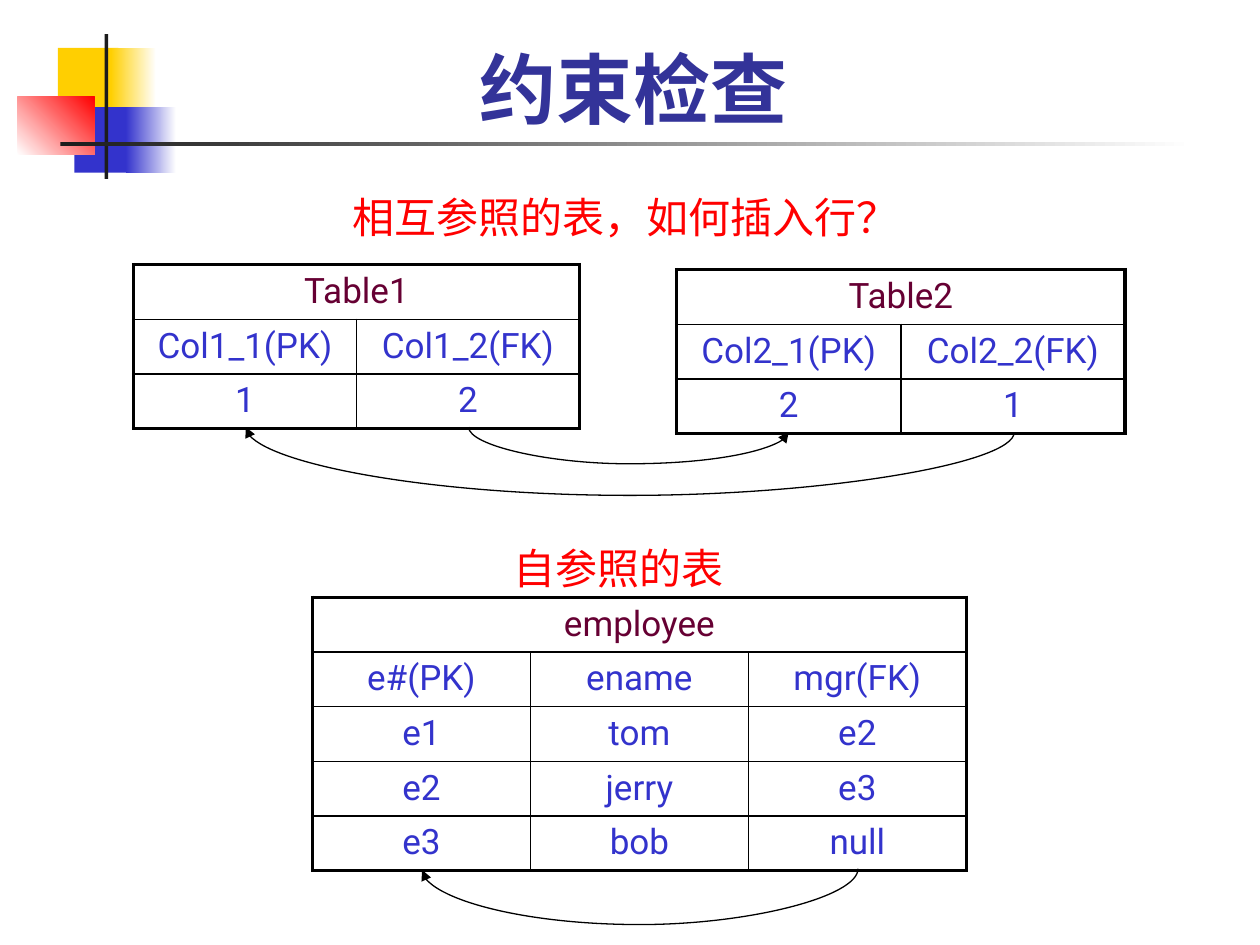
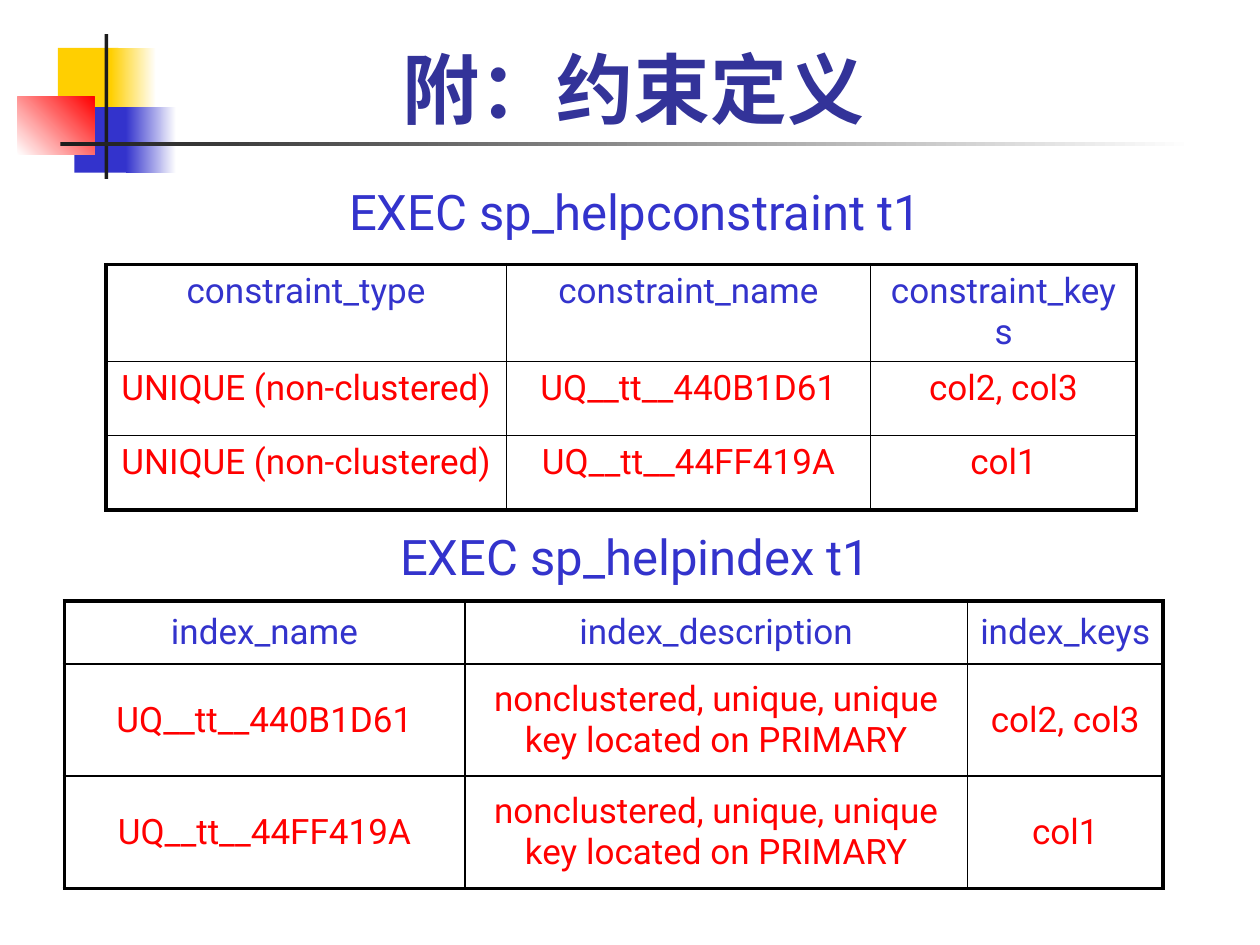
from lxml import etree
from pptx import Presentation
from pptx.dml.color import RGBColor
from pptx.enum.shapes import MSO_CONNECTOR, MSO_SHAPE
from pptx.enum.text import MSO_ANCHOR, PP_ALIGN
from pptx.oxml.ns import qn
from pptx.util import Inches, Pt

RECTANGLE = MSO_SHAPE.RECTANGLE
CURVE = MSO_CONNECTOR.CURVE
CENTER = PP_ALIGN.CENTER
TOP, MIDDLE, BOTTOM = MSO_ANCHOR.TOP, MSO_ANCHOR.MIDDLE, MSO_ANCHOR.BOTTOM

COLORS = {
    "yellow": "FFCF01",
    "blue": "3333CC",
    "red": "FF0000",
    "ink": "1C1C1C",
    "white": "FFFFFF",
    "black": "000000",
    "navy": "333399",
    "plum": "660033",
}
FONT = "Roboto"
FORMATS = {
    "title": {"size": Pt(44), "bold": True},
    "question": {"size": Pt(24), "bold": False},
    "command": {"size": Pt(28), "bold": False},
    "cell": {"size": Pt(20), "bold": False},
}
TITLE_BOX = (0.39, 0.18, 9.28, 0.93)
FRAME, GRID = 2.25, 1

EMBLEM = [
    ((0.46, 0.38, 0.48, 0.52), ["yellow"], 0),
    ((0.88, 0.38, 0.36, 0.52), ["yellow", "white"], 0),
    ((0.59, 0.85, 0.46, 0.52), ["blue"], 0),
    ((1.0, 0.85, 0.4, 0.52), ["blue", "white"], 0),
    ((0.14, 0.77, 0.61, 0.46), ["white", "red"], 45),
    ((0.83, 0.27, 0.03, 1.15), ["ink"], 0),
    ((0.48, 1.13, 9, 0.03), ["ink", "white"], 0),
]

NAMED = {"first_color": "plum", "rest_color": "blue", "anchor": TOP}
RESULT = {"first_color": "blue", "rest_color": "red"}
DESCRIPTION = "nonclustered, unique, unique key located on PRIMARY"

SLIDES = [
    {
        "title": "约束检查",
        "captions": [
            ("相互参照的表，如何插入行？", (2.64, 1.47, 4.65, 0.5), "question", "red"),
            ("自参照的表", (2.58, 4.26, 4.65, 0.5), "question", "red"),
        ],
        "tables": [
            {
                "at": (1.06, 2.1), "widths": [1.77] * 2, "heights": [0.43] * 3, **NAMED,
                "rows": [["Table1"], ["Col1_1(PK)", "Col1_2(FK)"], ["1", "2"]],
            },
            {
                "at": (5.37, 2.14), "widths": [1.78] * 2, "heights": [0.43] * 3, **NAMED,
                "rows": [["Table2"], ["Col2_1(PK)", "Col2_2(FK)"], ["2", "1"]],
            },
            {
                "at": (2.48, 4.74), "widths": [1.73] * 3, "heights": [0.43] * 5, **NAMED,
                "rows": [
                    ["employee"],
                    ["e#(PK)", "ename", "mgr(FK)"],
                    ["e1", "tom", "e2"],
                    ["e2", "jerry", "e3"],
                    ["e3", "bob", "null"],
                ],
            },
        ],
        "references": [
            ((3.72, 3.39), (6.26, 3.43), 0.29),
            ((8.05, 3.43), (1.95, 3.39), 0.5),
            ((6.81, 6.9), (3.35, 6.9), 0.45),
        ],
    },
    {
        "title": "附：约束定义",
        "captions": [
            ("EXEC sp_helpconstraint t1", (2.48, 1.39, 5.12, 0.57), "command", "blue"),
            ("EXEC sp_helpindex t1", (2.48, 4.13, 5.12, 0.57), "command", "blue"),
        ],
        "tables": [
            {
                "at": (0.84, 2.1), "widths": [3.18, 2.89, 2.11], "heights": [0.59] * 3,
                **RESULT, "anchor": TOP,
                "rows": [
                    ["constraint_type", "constraint_name", "constraint_keys"],
                    ["UNIQUE (non-clustered)", "UQ__tt__440B1D61", "col2, col3"],
                    ["UNIQUE (non-clustered)", "UQ__tt__44FF419A", "col1"],
                ],
            },
            {
                "at": (0.51, 4.77), "widths": [3.18, 3.99, 1.55], "heights": [0.5, 0.89, 0.89],
                **RESULT, "anchor": MIDDLE,
                "rows": [
                    ["index_name", "index_description", "index_keys"],
                    ["UQ__tt__440B1D61", DESCRIPTION, "col2, col3"],
                    ["UQ__tt__44FF419A", DESCRIPTION, "col1"],
                ],
            },
        ],
        "references": [],
    },
]


def rgb(color):
    return RGBColor.from_string(COLORS[color])


def inches(lengths):
    return [Inches(length) for length in lengths]


def write(frame, text, style, color):
    paragraph = frame.paragraphs[0]
    paragraph.alignment = CENTER
    run = paragraph.add_run()
    run.text = text
    for attribute, value in {"name": FONT, **FORMATS[style]}.items():
        setattr(run.font, attribute, value)
    run.font.color.rgb = rgb(color)


def add_caption(slide, text, box, style, color, anchor=TOP):
    frame = slide.shapes.add_textbox(*inches(box)).text_frame
    frame.word_wrap = True
    frame.vertical_anchor = anchor
    write(frame, text, style, color)


def add_emblem(slide):
    for box, colors, angle in EMBLEM:
        block = slide.shapes.add_shape(RECTANGLE, *inches(box))
        block.shadow.inherit = False
        block.line.fill.background()
        if len(colors) == 1:
            block.fill.solid()
            block.fill.fore_color.rgb = rgb(colors[0])
            continue
        block.fill.gradient()
        block.fill.gradient_angle = angle
        for stop, color in zip(block.fill.gradient_stops, colors):
            stop.color.rgb = rgb(color)


def set_borders(cell, outer_sides):
    properties = cell._tc.get_or_add_tcPr()
    for side, outer in outer_sides.items():
        width = Pt(FRAME if outer else GRID)
        border = etree.SubElement(properties, qn(f"a:ln{side}"), w=str(width))
        fill = etree.SubElement(border, qn("a:solidFill"))
        etree.SubElement(fill, qn("a:srgbClr"), val=COLORS["black"])


def add_grid(slide, at, widths, heights, rows, first_color, rest_color, anchor):
    size = (sum(widths), sum(heights))
    table = slide.shapes.add_table(len(rows), len(widths), *inches(at + size)).table
    table.first_row = table.horz_banding = False
    for column, width in zip(table.columns, widths):
        column.width = Inches(width)
    for row, height in zip(table.rows, heights):
        row.height = Inches(height)
    for r, texts in enumerate(rows):
        if len(texts) < len(widths):
            table.cell(r, 0).merge(table.cell(r, len(widths) - 1))
        for c, text in enumerate(texts):
            cell = table.cell(r, c)
            cell.vertical_anchor = anchor
            write(cell.text_frame, text, "cell", rest_color if r else first_color)
            set_borders(cell, {
                "L": c == 0,
                "R": c == len(texts) - 1,
                "T": r == 0,
                "B": r == len(rows) - 1,
            })
            cell.fill.background()


def add_reference(slide, start, end, depth):
    (x1, y1), (x2, y2) = start, end
    thickness, span = max(abs(y2 - y1), 0.01), abs(x2 - x1)
    left = (x1 + x2 - thickness) / 2
    top = (y1 + y2 - span) / 2
    if x2 > x1:
        turn, flip, bend = 270, {"flipH": "1"}, depth
    elif y2 < y1:
        turn, flip, bend = 270, {"flipV": "1"}, -depth
    else:
        turn, flip, bend = 90, {}, depth
    arrow = slide.shapes.add_connector(CURVE, *inches((left, top, left + thickness, top + span)))
    arrow.line.color.rgb = rgb("black")
    arrow.line.width = Pt(0.75)
    properties = arrow._element.spPr
    for attribute, value in {"rot": str(turn * 60000), **flip}.items():
        properties.find(qn("a:xfrm")).set(attribute, value)
    guides = properties.find(qn("a:prstGeom")).get_or_add_avLst()
    ratio = round(bend / thickness * 100000)
    etree.SubElement(guides, qn("a:gd"), name="adj1", fmla=f"val {ratio}")
    etree.SubElement(properties.find(qn("a:ln")), qn("a:tailEnd"), type="triangle")
    etree.SubElement(properties, qn("a:effectLst"))


def main():
    deck = Presentation()
    deck.slide_width, deck.slide_height = Inches(10), Inches(7.5)
    for content in SLIDES:
        slide = deck.slides.add_slide(deck.slide_layouts[6])
        add_emblem(slide)
        add_caption(slide, content["title"], TITLE_BOX, "title", "navy", BOTTOM)
        for caption in content["captions"]:
            add_caption(slide, *caption)
        for table in content["tables"]:
            add_grid(slide, **table)
        for reference in content["references"]:
            add_reference(slide, *reference)
    deck.save("out.pptx")


if __name__ == "__main__":
    main()
